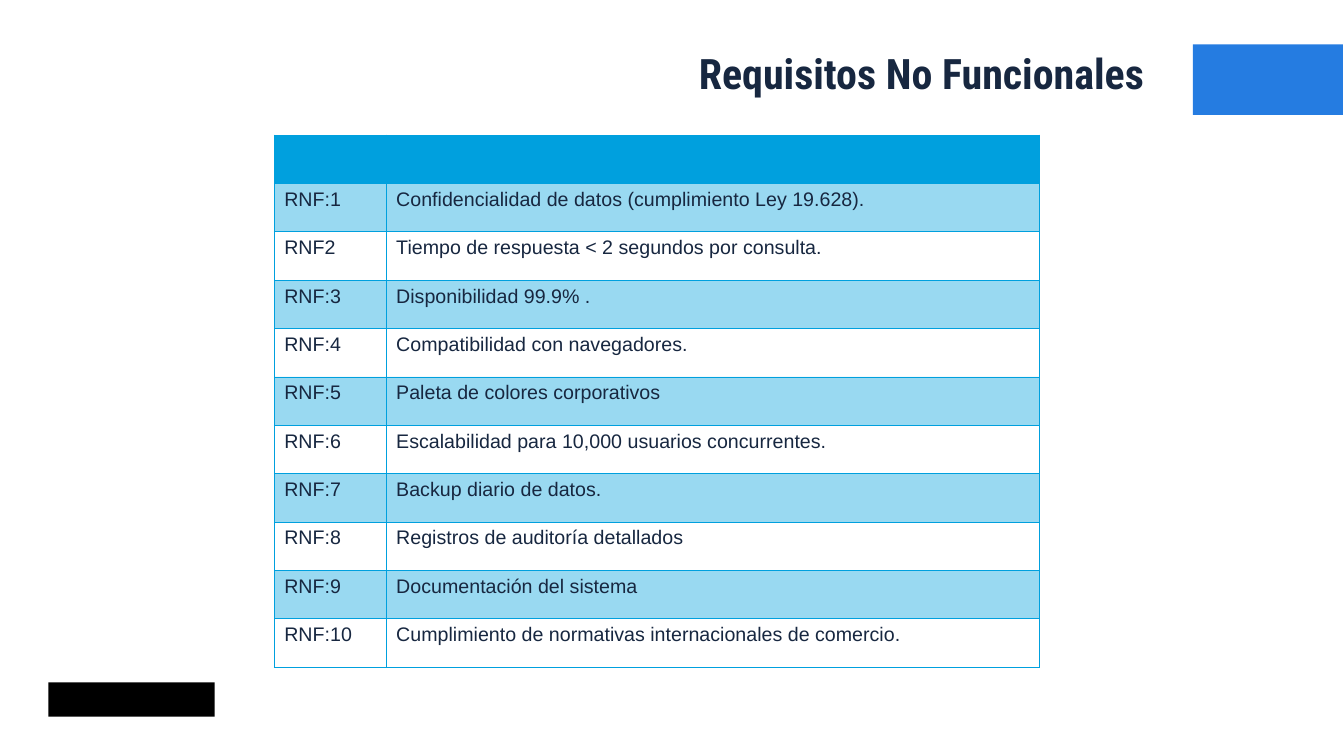
import pptx
import pptx.dml.color
import pptx.enum.shapes
import pptx.enum.text
import pptx.oxml
import pptx.oxml.ns
import pptx.util
from pptx.util import Inches

NAVY = pptx.dml.color.RGBColor(0x17, 0x27, 0x40)
BLUE = pptx.dml.color.RGBColor(0x25, 0x7C, 0xE1)
CYAN = pptx.dml.color.RGBColor(0x00, 0xA0, 0xDE)
BLACK = pptx.dml.color.RGBColor(0x00, 0x00, 0x00)

TITLE = "Requisitos No Funcionales"
REQUIREMENTS = [
    ("RNF:1", "Confidencialidad de datos (cumplimiento Ley 19.628)."),
    ("RNF2", "Tiempo de respuesta < 2 segundos por consulta."),
    ("RNF:3", "Disponibilidad 99.9% ."),
    ("RNF:4", "Compatibilidad con navegadores."),
    ("RNF:5", "Paleta de colores corporativos"),
    ("RNF:6", "Escalabilidad para 10,000 usuarios concurrentes."),
    ("RNF:7", "Backup diario de datos."),
    ("RNF:8", "Registros de auditoría detallados"),
    ("RNF:9", "Documentación del sistema"),
    ("RNF:10", "Cumplimiento de normativas internacionales de comercio."),
]
COLUMN_WIDTHS = [1.11, 6.48]
ROW_HEIGHT = 0.48
BAND_OPACITY = 40


def add_run(paragraph, text, font_name, size, bold=False):
    run = paragraph.add_run()
    run.text = text
    run.font.name = font_name
    run.font.size = pptx.util.Pt(size)
    run.font.bold = bold
    run.font.color.rgb = NAVY


def add_block(slide, left, top, width, height, color):
    shape = slide.shapes.add_shape(
        pptx.enum.shapes.MSO_SHAPE.RECTANGLE,
        Inches(left), Inches(top), Inches(width), Inches(height))
    shape.shadow.inherit = False
    shape.fill.solid()
    shape.fill.fore_color.rgb = color
    shape.line.fill.background()


def format_title(slide):
    title = slide.shapes.title
    title.left, title.top = Inches(5.2), Inches(0.48)
    title.width, title.height = Inches(6.25), Inches(0.89)
    title.text_frame.word_wrap = True
    title.text_frame.vertical_anchor = pptx.enum.text.MSO_ANCHOR.TOP
    paragraph = title.text_frame.paragraphs[0]
    paragraph.alignment = pptx.enum.text.PP_ALIGN.RIGHT
    paragraph.line_spacing = 0.9
    add_run(paragraph, TITLE, "Roboto Condensed", 30, bold=True)


def set_borders(cell):
    """Draw the four cell borders; call before the fill is set."""
    properties = cell._tc.get_or_add_tcPr()
    for side in ("lnL", "lnR", "lnT", "lnB"):
        properties.append(pptx.oxml.parse_xml(
            f'<a:{side} {pptx.oxml.ns.nsdecls("a")} w="{pptx.util.Pt(0.75)}">'
            f'<a:solidFill><a:srgbClr val="{CYAN}"/></a:solidFill></a:{side}>'))


def fill_cell(cell, opacity):
    """Fill with cyan at an opacity in percent; zero leaves the cell clear."""
    if opacity == 0:
        cell.fill.background()
        return
    cell.fill.solid()
    cell.fill.fore_color.rgb = CYAN
    if opacity < 100:
        fill = cell._tc.tcPr.find(pptx.oxml.ns.qn("a:solidFill"))
        fill[0].append(pptx.oxml.parse_xml(
            f'<a:alpha {pptx.oxml.ns.nsdecls("a")} val="{opacity * 1000}"/>'))


def add_requirements_table(slide):
    rows = [("", "")] + REQUIREMENTS
    table = slide.shapes.add_table(
        len(rows), len(COLUMN_WIDTHS), Inches(2.72), Inches(1.34),
        Inches(sum(COLUMN_WIDTHS)), Inches(ROW_HEIGHT * len(rows))).table
    for column, width in zip(table.columns, COLUMN_WIDTHS):
        column.width = Inches(width)
    for row_index, texts in enumerate(rows):
        table.rows[row_index].height = Inches(ROW_HEIGHT)
        if row_index == 0:
            opacity = 100
        else:
            opacity = BAND_OPACITY if row_index % 2 else 0
        for column_index, text in enumerate(texts):
            cell = table.cell(row_index, column_index)
            set_borders(cell)
            fill_cell(cell, opacity)
            if text:
                add_run(cell.text_frame.paragraphs[0], text, "Arial", 14)


def main():
    presentation = pptx.Presentation()
    presentation.slide_width = Inches(13.33)
    presentation.slide_height = Inches(7.5)
    slide = presentation.slides.add_slide(presentation.slide_layouts[5])
    add_block(slide, 0.48, 6.77, 1.65, 0.34, BLACK)
    add_block(slide, 11.83, 0.44, 1.49, 0.7, BLUE)
    format_title(slide)
    add_requirements_table(slide)
    presentation.save("out.pptx")


if __name__ == "__main__":
    main()
